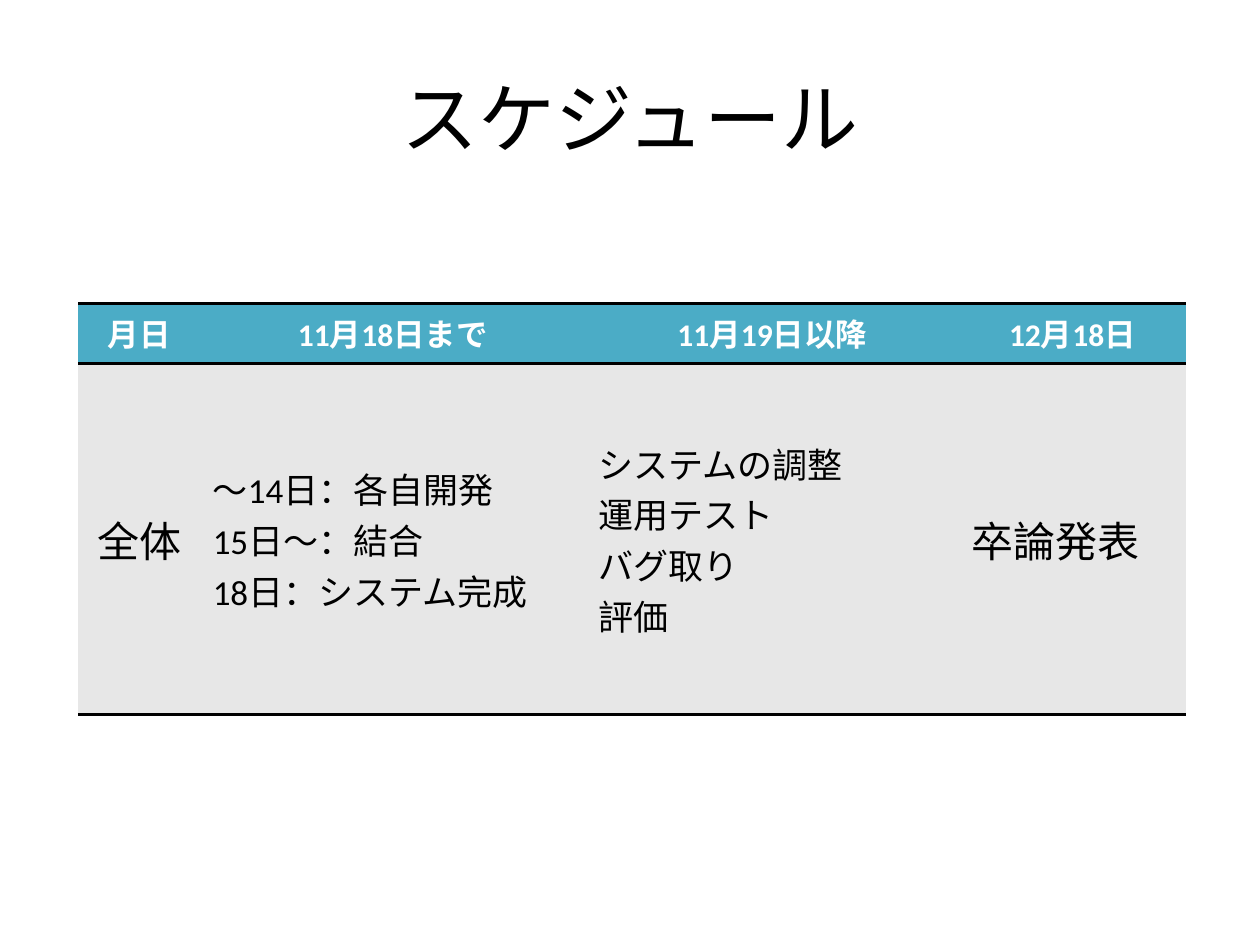
from dataclasses import dataclass

from lxml import etree
from pptx import Presentation
from pptx.dml.color import RGBColor
from pptx.enum.text import MSO_ANCHOR, PP_ALIGN
from pptx.oxml.ns import qn
from pptx.table import _Cell
from pptx.text.text import TextFrame
from pptx.util import Pt

LEFT, MID = PP_ALIGN.LEFT, PP_ALIGN.CENTER
TOP, HALF = MSO_ANCHOR.TOP, MSO_ANCHOR.MIDDLE
FONT = "Calibri"
HEX = {"ink": "000000", "paper": "FFFFFF", "head": "4BACC6", "body": "E7E7E7"}
RULE = 2  # table rule width in points


@dataclass
class Style:
    size: float
    color: str = "ink"
    bold: bool = False
    align: PP_ALIGN = LEFT


@dataclass
class Column:
    width: float
    date: str
    tasks: list[str]
    style: Style


TITLE = Style(44, align=MID)
HEAD = Style(18, "paper", True, MID)
COLS = [
    Column(69.8, "月日", ["全体"], Style(24, align=MID)),
    Column(220.2, "11月18日まで",
           ["～14日：各自開発", "15日～：結合", "18日：システム完成"], Style(20)),
    Column(213.6, "11月19日以降",
           ["システムの調整", "運用テスト", "バグ取り", "評価"], Style(20)),
    Column(129.4, "12月18日", ["卒論発表"], Style(24)),
]
ROWS = [34.2, 200.8]


def write(frame: TextFrame, lines: list[str], style: Style) -> None:
    """Put each line in its own paragraph."""
    for i, line in enumerate(lines):
        para = frame.add_paragraph() if i else frame.paragraphs[0]
        para.alignment = style.align
        run = para.add_run()
        run.text = line
        run.font.name = FONT
        run.font.size = Pt(style.size)
        run.font.bold = style.bold
        run.font.color.rgb = RGBColor.from_string(HEX[style.color])


def rule(cell: _Cell) -> None:
    """Draw the top and bottom rules and clear the side ones."""
    props = cell._tc.get_or_add_tcPr()
    for side in ("lnL", "lnR", "lnT", "lnB"):
        line = etree.SubElement(props, qn(f"a:{side}"), w=str(Pt(RULE)))
        if side in ("lnL", "lnR"):
            etree.SubElement(line, qn("a:noFill"))
        else:
            fill = etree.SubElement(line, qn("a:solidFill"))
            etree.SubElement(fill, qn("a:srgbClr"), val=HEX["ink"])


def fill_cell(cell: _Cell, lines: list[str], style: Style,
              color: str, anchor: MSO_ANCHOR) -> None:
    rule(cell)  # borders must come before the fill
    cell.fill.solid()
    cell.fill.fore_color.rgb = RGBColor.from_string(HEX[color])
    cell.vertical_anchor = anchor
    write(cell.text_frame, lines, style)


def main() -> None:
    deck = Presentation()
    deck.slide_width, deck.slide_height = Pt(720), Pt(540)
    slide = deck.slides.add_slide(deck.slide_layouts[5])

    # Title
    title = slide.shapes.title
    title.left, title.top = Pt(36), Pt(21.6)
    title.width, title.height = Pt(648), Pt(90)
    title.text_frame.vertical_anchor = HALF
    write(title.text_frame, ["スケジュール"], TITLE)

    # Schedule table
    width = sum(col.width for col in COLS)
    table = slide.shapes.add_table(
        len(ROWS), len(COLS), Pt(44.6), Pt(173.4), Pt(width), Pt(sum(ROWS))
    ).table
    table.horz_banding = False
    for row, height in zip(table.rows, ROWS):
        row.height = Pt(height)
    for i, col in enumerate(COLS):
        table.columns[i].width = Pt(col.width)
        fill_cell(table.cell(0, i), [col.date], HEAD, "head", TOP)
        fill_cell(table.cell(1, i), col.tasks, col.style, "body", HALF)

    deck.save("out.pptx")


if __name__ == "__main__":
    main()
